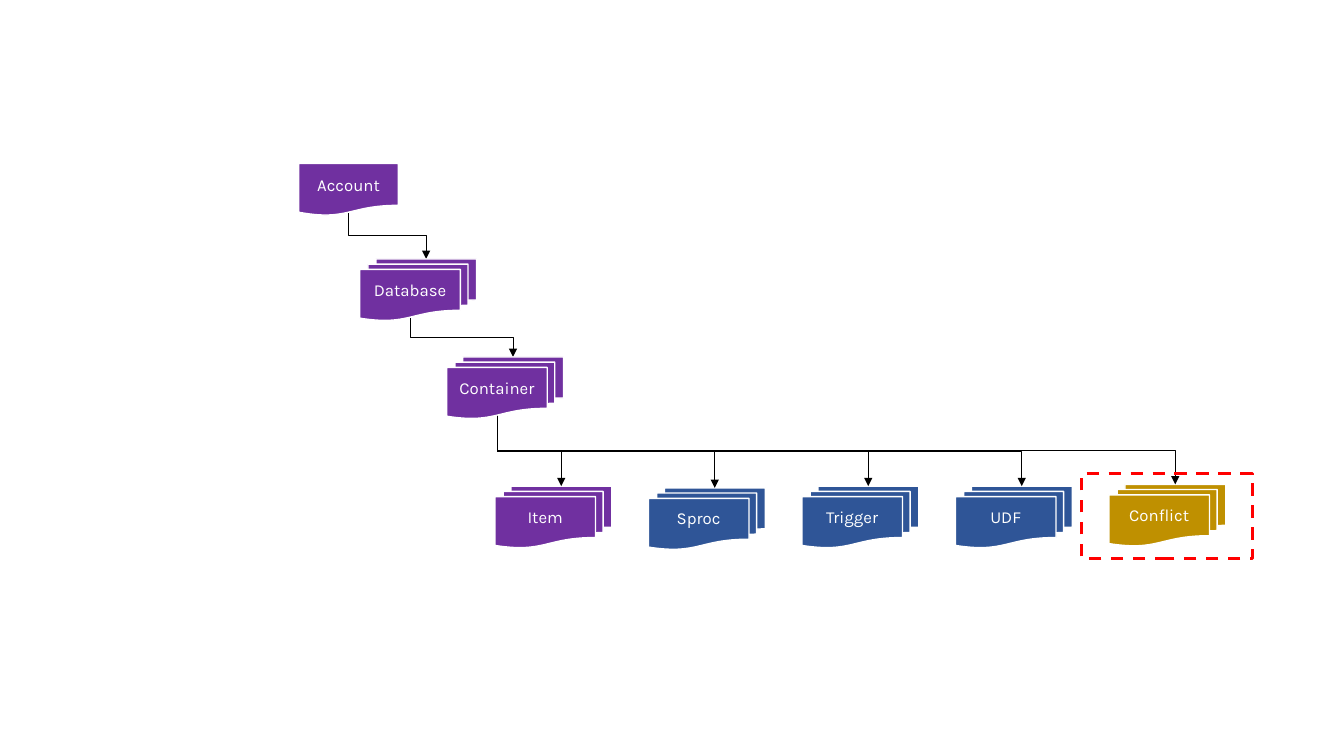
from lxml.etree import SubElement
from pptx import Presentation
from pptx.dml.color import RGBColor
from pptx.enum.dml import MSO_LINE
from pptx.enum.shapes import MSO_CONNECTOR, MSO_SHAPE
from pptx.enum.text import MSO_ANCHOR, PP_ALIGN
from pptx.oxml.ns import qn
from pptx.util import Pt

PURPLE = RGBColor(0x70, 0x30, 0xA0)
BLUE = RGBColor(0x2F, 0x55, 0x97)
GOLD = RGBColor(0xBF, 0x90, 0x00)
RED = RGBColor(0xFF, 0x00, 0x00)
WHITE = RGBColor(0xFF, 0xFF, 0xFF)
BLACK = RGBColor(0x00, 0x00, 0x00)

SINGLE = MSO_SHAPE.FLOWCHART_DOCUMENT
STACK = MSO_SHAPE.FLOWCHART_MULTIDOCUMENT
ENTRY = 47.4
CHILD_LEFT, CHILD_STEP = 353.5, 109.65
CHILDREN = [
    ("Item", 347.3, PURPLE),
    ("Sproc", 348.5, BLUE),
    ("Trigger", 347.3, BLUE),
    ("UDF", 347.3, BLUE),
    ("Conflict", 346, GOLD),
]


def add_node(slide, kind, text, left, top, size, color, lift=0):
    """Draw a filled document shape with a centred label."""
    node = slide.shapes.add_shape(kind, Pt(left), Pt(top), *map(Pt, size))
    node.shadow.inherit = False
    node.fill.solid()
    node.fill.fore_color.rgb = color
    node.line.color.rgb = WHITE
    node.line.width = Pt(1)
    frame = node.text_frame
    frame.word_wrap = True
    frame.vertical_anchor = MSO_ANCHOR.MIDDLE
    frame.margin_left = frame.margin_right = frame.margin_top = 0
    frame.margin_bottom = Pt(lift)
    para = frame.paragraphs[0]
    para.alignment = PP_ALIGN.CENTER
    run = para.add_run()
    run.text = text
    run.font.name = "Karla"
    run.font.size = Pt(12)
    run.font.color.rgb = WHITE


def add_stack(slide, text, left, top, color):
    """Draw a stack of documents."""
    add_node(slide, STACK, text, left, top, (83.5, 44), color, 6.4)


def add_elbow(slide, start, end):
    """Draw an arrow that runs down, across and down again."""
    (x1, y1), (x2, y2) = start, end
    mid_x, mid_y = (x1 + x2) / 2, (y1 + y2) / 2
    half_x, half_y = (x2 - x1) / 2, (y2 - y1) / 2
    line = slide.shapes.add_connector(
        MSO_CONNECTOR.ELBOW,
        Pt(mid_x + half_y), Pt(mid_y - half_x),
        Pt(mid_x - half_y), Pt(mid_y + half_x),
    )
    line.line.color.rgb = BLACK
    line.line.width = Pt(0.5)
    props = line._element.spPr
    props.find(qn("a:xfrm")).set("rot", "16200000")
    SubElement(props.find(qn("a:ln")), qn("a:tailEnd"), type="triangle")
    SubElement(props, qn("a:effectLst"))


def add_frame(slide, left, top, width, height):
    """Draw a dashed red frame."""
    frame = slide.shapes.add_shape(
        MSO_SHAPE.RECTANGLE, Pt(left), Pt(top), Pt(width), Pt(height)
    )
    frame.shadow.inherit = False
    frame.fill.background()
    frame.line.color.rgb = RED
    frame.line.width = Pt(2.25)
    frame.line.dash_style = MSO_LINE.DASH


def main():
    """Build the resource tree slide."""
    deck = Presentation()
    deck.slide_width, deck.slide_height = Pt(960), Pt(540)
    slide = deck.slides.add_slide(deck.slide_layouts[6])

    add_elbow(slide, (249, 152), (257 + ENTRY, 185))
    add_elbow(slide, (293, 227), (319 + ENTRY, 255))
    add_node(slide, SINGLE, "Account", 213.3, 116.7, (71.3, 37.4), PURPLE)
    add_stack(slide, "Database", 257, 185, PURPLE)
    add_stack(slide, "Container", 319, 255, PURPLE)

    for index, (text, top, color) in enumerate(CHILDREN):
        left = CHILD_LEFT + index * CHILD_STEP
        add_stack(slide, text, left, top, color)
        add_elbow(slide, (355, 297), (left + ENTRY, top))

    add_frame(slide, 772.5, 338.4, 122.4, 60.5)
    deck.save("out.pptx")


if __name__ == "__main__":
    main()
